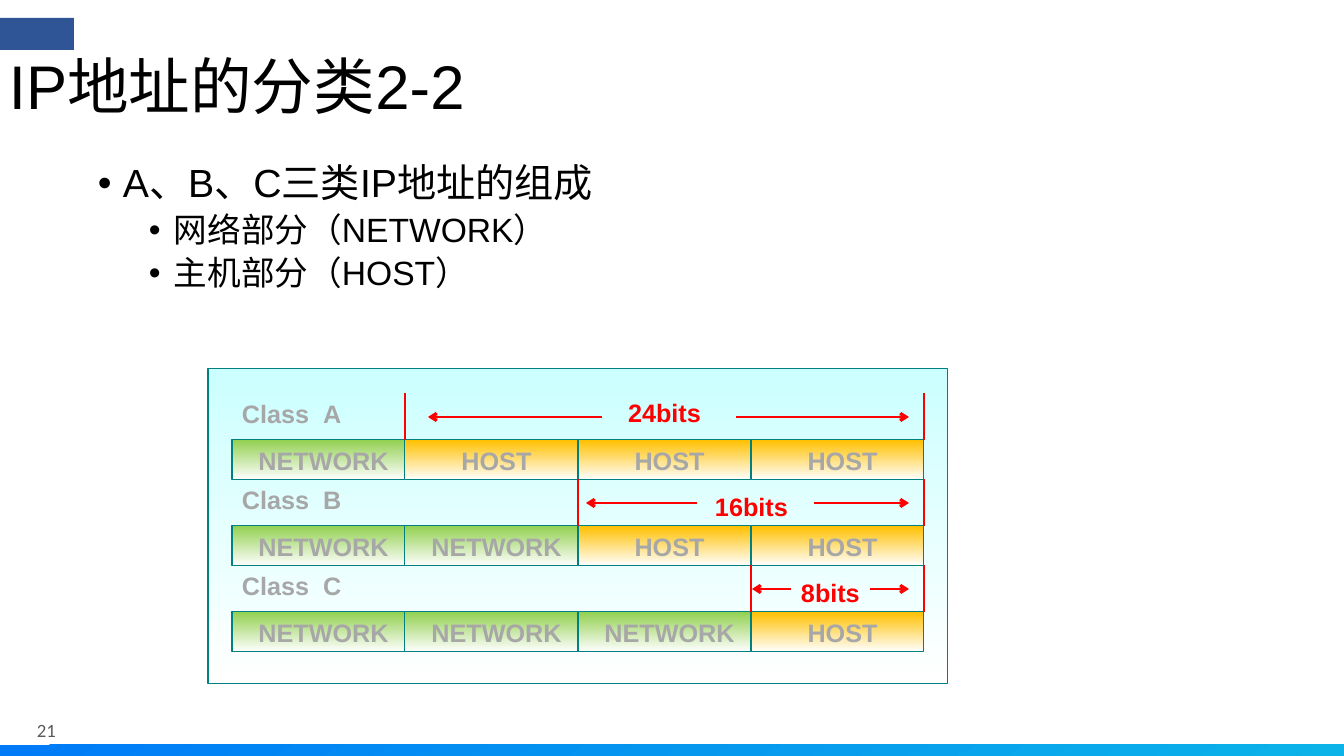
from lxml import etree
from pptx import Presentation
from pptx.dml.color import RGBColor
from pptx.enum.shapes import MSO_CONNECTOR, MSO_SHAPE
from pptx.enum.text import MSO_ANCHOR, PP_ALIGN
from pptx.oxml.ns import qn
from pptx.util import Emu, Pt

RECTANGLE = MSO_SHAPE.RECTANGLE
STRAIGHT = MSO_CONNECTOR.STRAIGHT
MIDDLE = MSO_ANCHOR.MIDDLE
TOP = MSO_ANCHOR.TOP
CENTER = PP_ALIGN.CENTER

EMU_PER_PX = 914400 / 100.8
BLACK, GRAY, RED, TEAL = "000000", "A7A7A7", "FF0000", "008080"
GREEN, ORANGE, WHITE = "92D050", "FFC000", "FFFFFF"

TABLE_LEFT, TABLE_TOP = 232, 440
CELL_WIDTH, CELL_HEIGHT, ROW_PITCH = 173, 40, 86
COLUMNS = 4
HEADER_HEIGHT = 47
ARROW_RISE = 23
ARROW_RIGHT = 909

CLASSES = [
    ("A", 1, "24bits", (618, 48), (602, 428), 736),
    ("B", 2, "16bits", (705, 40), (697, 586), 814),
    ("C", 3, "8bits", (791, 40), (791, 752), 870),
]


def px(value):
    return Emu(round(value * EMU_PER_PX))


def color(value):
    return RGBColor.from_string(value)


def format_font(font, size, value, bold=False, name="Arial"):
    font.name = name
    font.size = Pt(size)
    font.bold = bold
    font.color.rgb = color(value)


def add_box(slide, left, top, width, height, fills, angle=270, line=None):
    shape = slide.shapes.add_shape(RECTANGLE, px(left), px(top), px(width), px(height))
    shape.shadow.inherit = False
    if len(fills) == 1:
        shape.fill.solid()
        shape.fill.fore_color.rgb = color(fills[0])
    else:
        shape.fill.gradient()
        shape.fill.gradient_angle = angle
        for position, (stop, value) in enumerate(zip(shape.fill.gradient_stops, fills)):
            stop.position = position
            stop.color.rgb = color(value)
    if line:
        shape.line.color.rgb = color(line)
        shape.line.width = Pt(0.75)
    else:
        shape.line.fill.background()
    return shape


def add_text_frame(slide, left, top, width, height, inset=0, anchor=MIDDLE):
    text_box = slide.shapes.add_textbox(px(left), px(top), px(width), px(height))
    text_frame = text_box.text_frame
    text_frame.word_wrap = True
    text_frame.vertical_anchor = anchor
    text_frame.margin_left = text_frame.margin_right = px(inset)
    text_frame.margin_top = text_frame.margin_bottom = px(inset / 2)
    return text_frame


def add_label(slide, left, top, width, text, value):
    text_frame = add_text_frame(slide, left, top, width, CELL_HEIGHT, 10, TOP)
    paragraph = text_frame.paragraphs[0]
    paragraph.text = text
    format_font(paragraph.runs[0].font, 18, value, True)


def add_class_name(slide, top, letter):
    text_frame = add_text_frame(slide, TABLE_LEFT, top, 149, CELL_HEIGHT, 10, TOP)
    paragraph = text_frame.paragraphs[0]
    for part in ("Class", " ", letter):
        run = paragraph.add_run()
        run.text = part
        format_font(run.font, 18, GRAY, True)
    paragraph.runs[1]._r.get_or_add_rPr().set("spc", "500")


def add_line(slide, start, end, arrow=False):
    connector = slide.shapes.add_connector(STRAIGHT, *map(px, start + end))
    connector.line.color.rgb = color(RED)
    connector.line.width = Pt(2)
    if arrow:
        outline = connector.line._get_or_add_ln()
        etree.SubElement(outline, qn("a:tailEnd"), type="arrow")
    etree.SubElement(connector._element.spPr, qn("a:effectLst"))


def add_bullet(paragraph, margin, size):
    properties = paragraph._p.get_or_add_pPr()
    properties.set("marL", str(px(margin)))
    properties.set("indent", str(-px(25)))
    etree.SubElement(properties, qn("a:buFont"), typeface="Arial")
    etree.SubElement(properties, qn("a:buChar"), char="•")
    paragraph.line_spacing = 0.9
    format_font(paragraph.runs[0].font, size, BLACK)


def add_title(slide):
    paragraph = add_text_frame(slide, 9, 54, 966, 71).paragraphs[0]
    paragraph.text = "IP地址的分类2-2"
    paragraph.line_spacing = 0.9
    format_font(paragraph.runs[0].font, 44, BLACK)


def add_body(slide):
    text_frame = add_text_frame(slide, 98, 164, 937, 567, anchor=TOP)
    text_frame.text = "A、B、C三类IP地址的组成\n网络部分（NETWORK）\n主机部分（HOST）"
    heading, *details = text_frame.paragraphs
    add_bullet(heading, 25, 28)
    for paragraph in details:
        paragraph.level = 1
        add_bullet(paragraph, 76, 24)
        paragraph.space_before = Pt(5)


def add_cell(slide, column, top, is_network):
    shape = add_box(slide, TABLE_LEFT + column * CELL_WIDTH, top, CELL_WIDTH, CELL_HEIGHT,
                    (GREEN if is_network else ORANGE, WHITE), line=TEAL)
    shape.text_frame.vertical_anchor = MIDDLE
    paragraph = shape.text_frame.paragraphs[0]
    paragraph.text = "NETWORK" if is_network else "HOST"
    paragraph.alignment = CENTER
    paragraph._p.get_or_add_pPr().set("marL", str(px(10)))
    format_font(paragraph.runs[0].font, 18, GRAY, True)


def add_class_row(slide, top, letter, networks, bits, label, left_arrow, right_start):
    for column in range(COLUMNS):
        add_cell(slide, column, top, column < networks)
    for boundary in (networks, COLUMNS):
        x = TABLE_LEFT + boundary * CELL_WIDTH
        add_line(slide, (x, top - HEADER_HEIGHT), (x, top))
    arrow_y = top - ARROW_RISE
    for start, end in (left_arrow, (right_start, ARROW_RIGHT)):
        add_line(slide, (start, arrow_y), (end, arrow_y), True)
    add_class_name(slide, top - HEADER_HEIGHT, letter)
    label_left, label_rise = label
    add_label(slide, label_left, top - label_rise, 103, bits, RED)


def add_page_number(slide):
    paragraph = add_text_frame(slide, 37, 719, 75, 22).paragraphs[0]
    paragraph.text = "21"
    format_font(paragraph.runs[0].font, 13.4, "5A5A5A", name="Calibri")


def main():
    presentation = Presentation()
    presentation.slide_width = px(1344)
    presentation.slide_height = px(756)
    slide = presentation.slides.add_slide(presentation.slide_layouts[6])
    add_box(slide, 0, 745, 1344, 13, ("007BF7", "0BB3E8"), angle=300)
    add_page_number(slide)
    add_box(slide, 0, 18, 74, 32, ("2F5597",))
    add_body(slide)
    add_title(slide)
    add_box(slide, 208, 369, 740, 315, ("CCFFFF", WHITE), line=TEAL)
    for row, address_class in enumerate(CLASSES):
        add_class_row(slide, TABLE_TOP + row * ROW_PITCH, *address_class)
    presentation.save("out.pptx")


if __name__ == "__main__":
    main()
